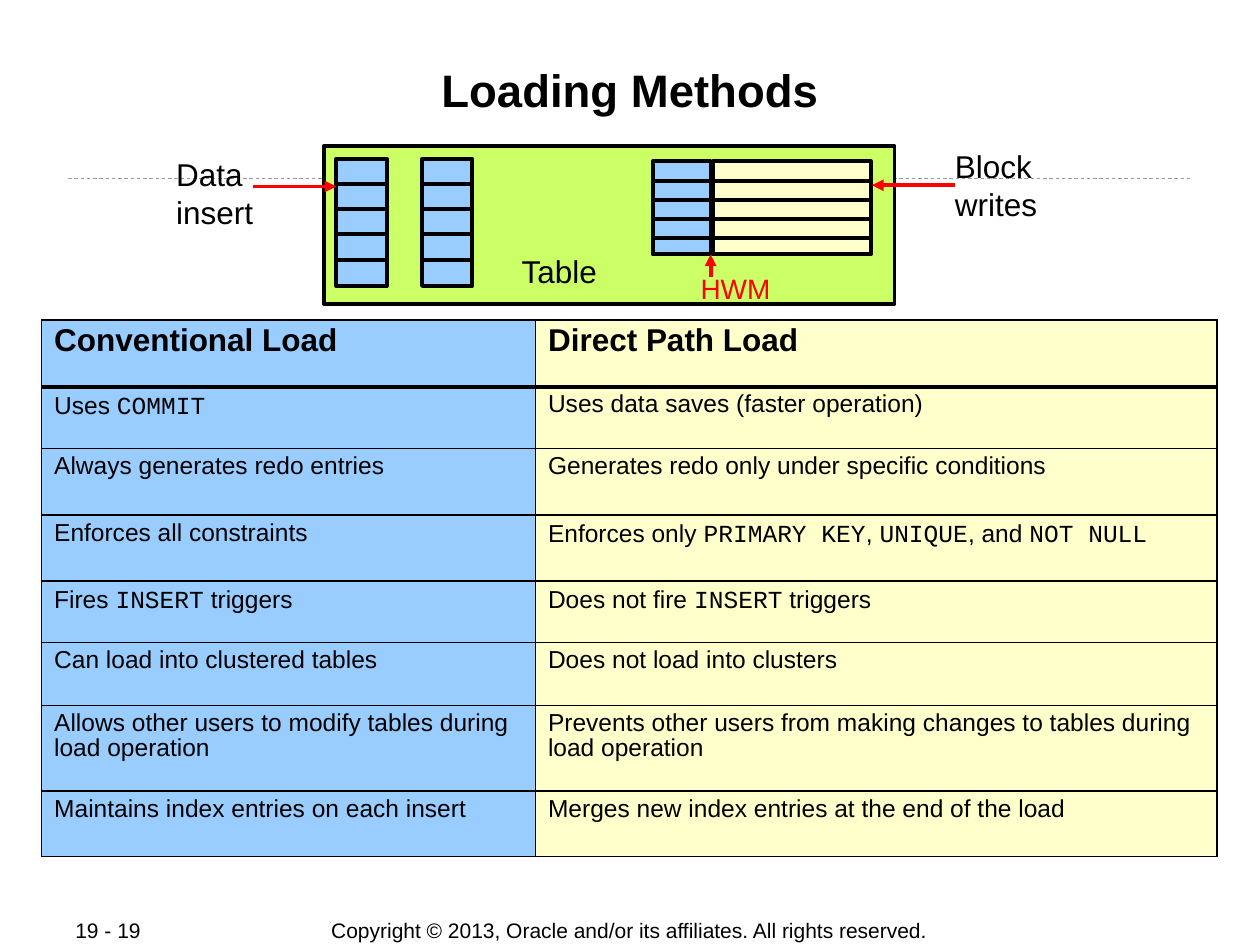
from lxml import etree
from pptx import Presentation
from pptx.dml.color import RGBColor
from pptx.enum.dml import MSO_LINE
from pptx.enum.shapes import MSO_CONNECTOR, MSO_SHAPE
from pptx.enum.text import MSO_ANCHOR, PP_ALIGN
from pptx.oxml import parse_xml
from pptx.oxml.ns import nsdecls, qn
from pptx.util import Pt

PX = 9144
STRAIGHT = MSO_CONNECTOR.STRAIGHT
RECTANGLE = MSO_SHAPE.RECTANGLE
DASH = MSO_LINE.DASH
LEFT, CENTER = PP_ALIGN.LEFT, PP_ALIGN.CENTER
TOP, MIDDLE = MSO_ANCHOR.TOP, MSO_ANCHOR.MIDDLE
COLORS = {
    "black": "000000",
    "red": "FF0000",
    "gray": "999999",
    "blue": "99CCFF",
    "cream": "FFFFCC",
    "green": "CCFF66",
}
RGB = {name: RGBColor.from_string(value) for name, value in COLORS.items()}

presentation = Presentation()
presentation.slide_width = 1000 * PX
presentation.slide_height = 750 * PX
slide = presentation.slides.add_slide(presentation.slide_layouts[6])


def add_text(text, box, size, color="black", bold=False, align=LEFT, anchor=TOP, inset=(10, 5)):
    shape = slide.shapes.add_textbox(*(length * PX for length in box))
    frame = shape.text_frame
    frame.word_wrap = True
    frame.vertical_anchor = anchor
    frame.margin_left = frame.margin_right = inset[0] * PX
    frame.margin_top = frame.margin_bottom = inset[1] * PX
    frame.text = text
    paragraph = frame.paragraphs[0]
    paragraph.alignment = align
    for run in paragraph.runs:
        run.font.name = "Arial"
        run.font.size = Pt(size)
        run.font.bold = bold
        run.font.color.rgb = RGB[color]


def add_line(x1, y1, x2, y2, color="black", width=2.25, arrow=False):
    connector = slide.shapes.add_connector(STRAIGHT, x1 * PX, y1 * PX, x2 * PX, y2 * PX)
    connector.line.color.rgb = RGB[color]
    connector.line.width = Pt(width)
    if arrow:
        etree.SubElement(connector.line._get_or_add_ln(), qn("a:tailEnd"), type="triangle")
    etree.SubElement(connector._element.spPr, qn("a:effectLst"))
    return connector


add_text("Copyright © 2013, Oracle and/or its affiliates. All rights reserved.",
         (225, 728, 549, 21), 12, align=CENTER, anchor=MIDDLE)
add_line(54, 142, 946, 142, "gray", 0.5).line.dash_style = DASH
add_text("19 - 19", (50, 728, 106, 20), 12, anchor=MIDDLE)
add_text("Loading Methods", (67, 48, 866, 96), 26, bold=True, align=CENTER, inset=(1, 1))

comparison = [
    ("Conventional Load", "Direct Path Load"),
    ("Uses `COMMIT`", "Uses data saves (faster operation)"),
    ("Always generates redo entries", "Generates redo only under specific conditions"),
    ("Enforces all constraints", "Enforces only `PRIMARY KEY`, `UNIQUE`, and `NOT NULL`"),
    ("Fires `INSERT` triggers", "Does not fire `INSERT` triggers"),
    ("Can load into clustered tables", "Does not load into clusters"),
    ("Allows other users to modify tables during load operation",
     "Prevents other users from making changes to tables during load operation"),
    ("Maintains index entries on each insert", "Merges new index entries at the end of the load"),
]
row_heights = [53, 49, 53, 52, 49, 50, 68, 52]
column_widths = [392, 541]
column_fills = ["blue", "cream"]

table = slide.shapes.add_table(len(comparison), 2, 33 * PX, 254 * PX,
                               sum(column_widths) * PX, sum(row_heights) * PX).table
for column, width in zip(table.columns, column_widths):
    column.width = width * PX
for row, height in zip(table.rows, row_heights):
    row.height = height * PX
for row_index, row_texts in enumerate(comparison):
    for column_index, text in enumerate(row_texts):
        cell = table.cell(row_index, column_index)
        cell.margin_left = cell.margin_right = 10 * PX
        cell.margin_top = cell.margin_bottom = 5 * PX
        cell.fill.solid()
        cell.fill.fore_color.rgb = RGB[column_fills[column_index]]
        paragraph = cell.text_frame.paragraphs[0]
        paragraph.line_spacing = 0.9
        for part_index, part in enumerate(text.split("`")):
            if not part:
                continue
            run = paragraph.add_run()
            run.text = part
            run.font.name = "Courier New" if part_index % 2 else "Arial"
            run.font.size = Pt(14 if row_index else 18)
            run.font.bold = row_index == 0
            run.font.color.rgb = RGB["black"]
        properties = cell._tc.get_or_add_tcPr()
        for position, side in enumerate(["lnL", "lnR", "lnT", "lnB"]):
            below_header = (row_index, side) in [(0, "lnB"), (1, "lnT")]
            border_width = Pt(2.21 if below_header else 1.08)
            properties.insert(position, parse_xml(
                f'<a:{side} {nsdecls("a")} w="{border_width}"><a:solidFill>'
                f'<a:srgbClr val="{COLORS["black"]}"/></a:solidFill></a:{side}>'))

blocks = [
    (257, 116, 453, 125, "green"),
    (267, 126, 40, 101, "blue"),
    (335, 126, 40, 101, "blue"),
    (518, 128, 46, 74, "blue"),
    (566, 128, 125, 74, "cream"),
]
for left, top, width, height, fill in blocks:
    shape = slide.shapes.add_shape(RECTANGLE, left * PX, top * PX, width * PX, height * PX)
    shape.shadow.inherit = False
    shape.fill.solid()
    shape.fill.fore_color.rgb = RGB[fill]
    shape.line.color.rgb = RGB["black"]
    shape.line.width = Pt(2.25)

for left, top, width, step in [(267, 126, 40, 20), (335, 126, 40, 20), (518, 129, 46, 15), (566, 129, 125, 15)]:
    for division in range(1, 5):
        y = top + step * division
        add_line(left, y, left + width, y)
add_line(566, 127, 566, 200)

add_text("Table", (405, 195, 103, 39), 18, inset=(9, 5))
add_text("Block\vwrites", (748, 112, 109, 70), 18)
add_text("HWM", (547, 211, 103, 36), 16, "red", inset=(9, 5))
add_text("Data insert", (130, 118, 109, 70), 18)
for ends in [(564, 220, 564, 202), (201, 148, 267, 148), (758, 147, 692, 147)]:
    add_line(*ends, color="red", arrow=True)

presentation.save("out.pptx")
